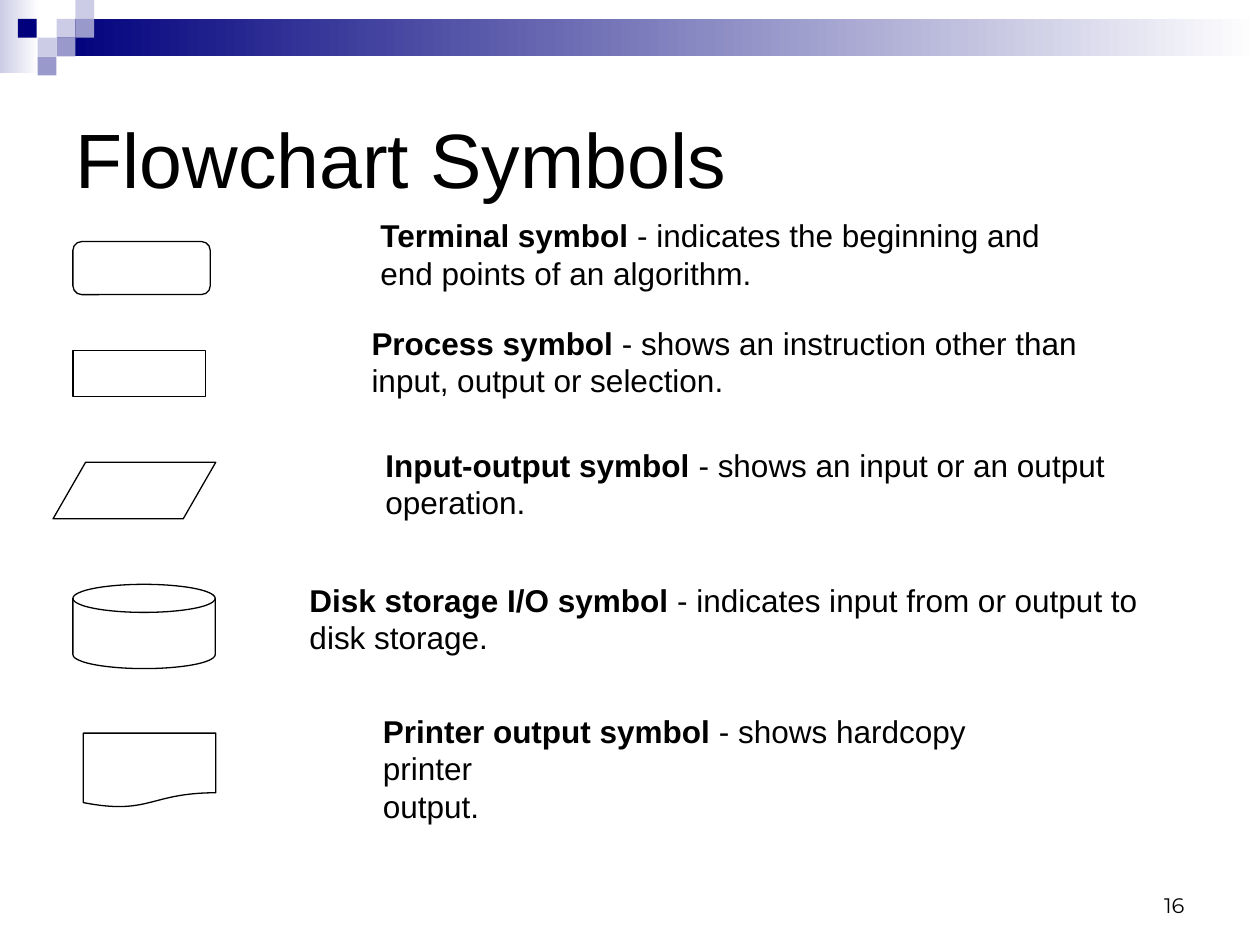
from pptx import Presentation, util as u
from pptx.dml.color import RGBColor
from pptx.enum import shapes, text

COLORS = {"navy": "00007D", "violet": "9999CC", "lavender": "CCCCE6", "white": "FFFFFF", "black": "000000"}
TITLE = "Flowchart Symbols"
PAGE_NUMBER = "16"
CELL = 0.38
BANDS = [
    ("lavender", (0, 0, 0.79, 1.47)),
    ("navy", (3 * CELL, CELL, 24.26, 2 * CELL)),
]
CHECKS = [
    ("lavender", 3, 1), ("lavender", 4, 0), ("violet", 4, 1), ("lavender", 2, 2),
    ("navy", 0.95, 1), ("violet", 3, 2), ("violet", 2, 3),
]
KINDS = shapes.MSO_SHAPE
SYMBOLS = [
    (KINDS.FLOWCHART_ALTERNATE_PROCESS, (1.47, 4.87, 2.77, 1.07), (7.42, 4.24, 14.02), False,
     "Terminal symbol", [" - indicates the beginning and", "end points of an algorithm."]),
    (KINDS.FLOWCHART_PROCESS, (1.47, 7.06, 2.67, 0.94), (7.24, 6.4, 14.73), False,
     "Process symbol", [" - shows an instruction other than", "input, output or selection."]),
    (KINDS.FLOWCHART_DATA, (1.07, 9.32, 3.28, 1.14), (7.52, 8.86, 15.19), False,
     "Input-output symbol", [" - shows an input or an output", "operation."]),
    (KINDS.FLOWCHART_MAGNETIC_DISK, (1.47, 11.78, 2.87, 1.7), (5.99, 11.58, 17.35), True,
     "Disk storage I/O symbol", [" - indicates input from or output to disk storage."]),
    (KINDS.FLOWCHART_DOCUMENT, (1.68, 14.78, 2.67, 1.5), (7.47, 14.22, 14.22), False,
     "Printer output symbol", [" - shows hardcopy printer", "output."]),
]
TEXT_HEIGHT = 1.78


def color(name):
    """Return the named colour."""
    return RGBColor.from_string(COLORS[name])


def centimetres(box):
    """Convert a sequence of numbers to lengths."""
    return [u.Cm(value) for value in box]


def format_paragraph(paragraph, size, font="Arial", align=text.PP_ALIGN.LEFT):
    """Apply font and alignment to a paragraph."""
    paragraph.font.name = font
    paragraph.font.size = u.Pt(size)
    paragraph.font.color.rgb = color("black")
    paragraph.alignment = align


def add_block(slide, box, fill):
    """Add a borderless rectangle in a solid colour."""
    shape = slide.shapes.add_shape(KINDS.RECTANGLE, *centimetres(box))
    shape.shadow.inherit = False
    shape.line.fill.background()
    shape.fill.solid()
    shape.fill.fore_color.rgb = color(fill)
    return shape


def add_decoration(slide):
    """Add the fading bands and the checks at the top."""
    for name, box in BANDS:
        shape = add_block(slide, box, name)
        shape.fill.gradient()
        shape.fill.gradient_angle = 0
        for stop, stop_name in zip(shape.fill.gradient_stops, (name, "white")):
            stop.color.rgb = color(stop_name)
    for name, column, row in CHECKS:
        add_block(slide, (column * CELL, row * CELL, CELL, CELL), name)


def add_title(slide):
    """Fill and place the title."""
    title = slide.shapes.title
    title.left, title.top, title.width, title.height = centimetres((1.27, 1.27, 22.86, 3.81))
    title.text_frame.text = TITLE
    title.text_frame.vertical_anchor = text.MSO_ANCHOR.MIDDLE
    format_paragraph(title.text_frame.paragraphs[0], 44)


def add_page_number(slide):
    """Add the number at the bottom right."""
    frame = slide.shapes.add_textbox(*centimetres((18.21, 17.35, 5.92, 1.27))).text_frame
    frame.word_wrap = True
    frame.vertical_anchor = text.MSO_ANCHOR.BOTTOM
    frame.text = PAGE_NUMBER
    format_paragraph(frame.paragraphs[0], 12, "Montserrat", text.PP_ALIGN.RIGHT)


def add_symbol(slide, kind, box, place, wrap, term, lines):
    """Add a flowchart symbol and its description."""
    shape = slide.shapes.add_shape(kind, *centimetres(box))
    shape.shadow.inherit = False
    shape.fill.background()
    shape.line.color.rgb = color("black")
    shape.line.width = u.Pt(0.75)

    frame = slide.shapes.add_textbox(*centimetres((*place, TEXT_HEIGHT))).text_frame
    frame.word_wrap = wrap
    frame.auto_size = text.MSO_AUTO_SIZE.SHAPE_TO_FIT_TEXT
    first = frame.paragraphs[0]
    name = first.add_run()
    name.text = term
    name.font.bold = True
    first.add_run().text = lines[0]
    for line in lines[1:]:
        frame.add_paragraph().text = line
    for paragraph in frame.paragraphs:
        format_paragraph(paragraph, 18)


def main():
    """Build and save the slide."""
    presentation = Presentation()
    presentation.slide_width, presentation.slide_height = centimetres((25.4, 19.05))
    slide = presentation.slides.add_slide(presentation.slide_layouts[5])
    add_decoration(slide)
    add_title(slide)
    add_page_number(slide)
    for symbol in SYMBOLS:
        add_symbol(slide, *symbol)
    presentation.save("out.pptx")


if __name__ == "__main__":
    main()
